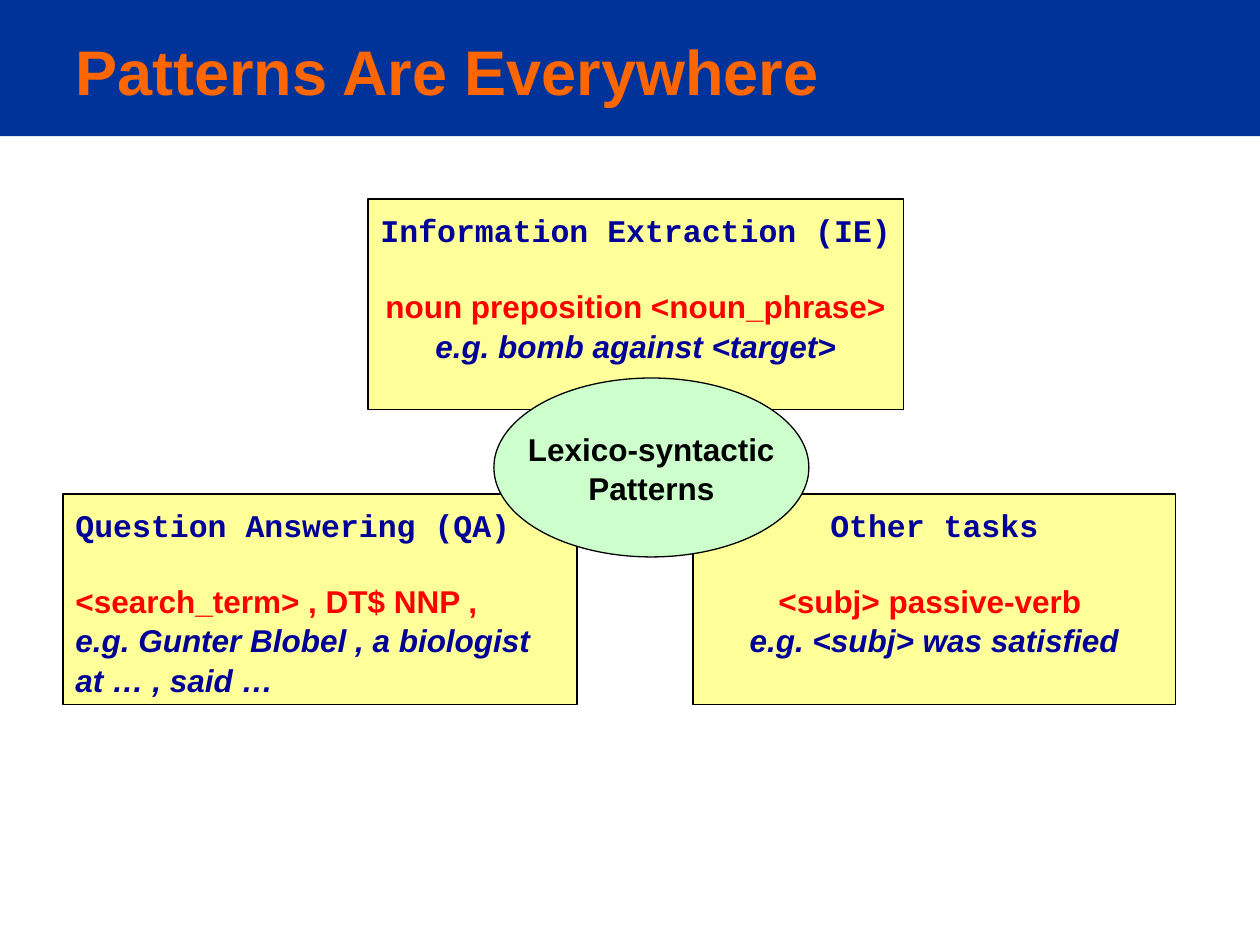
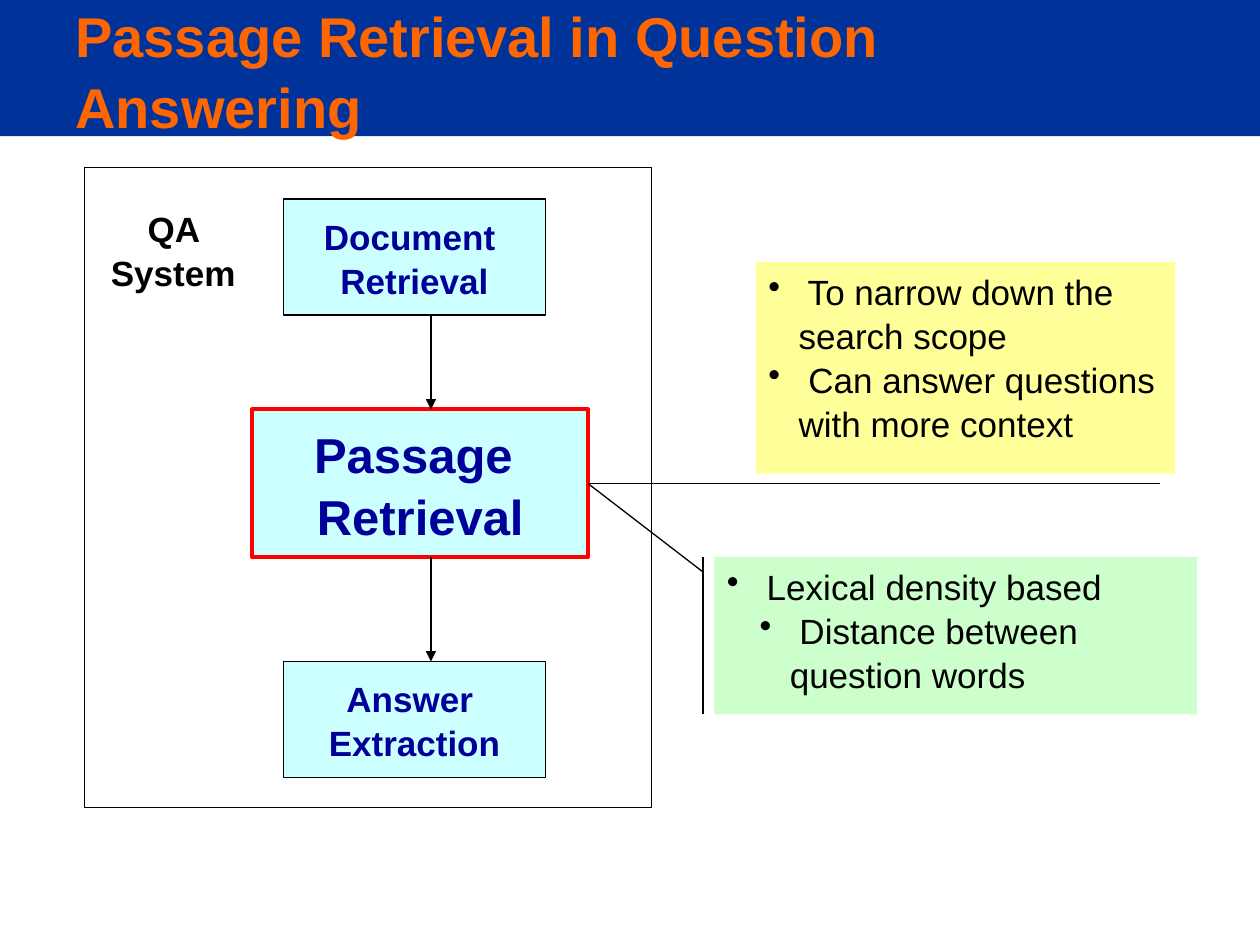
"""Build two slides on lexico-syntactic patterns and passage retrieval."""
from dataclasses import dataclass

import lxml.etree
import pptx
import pptx.dml.color
import pptx.enum.shapes
import pptx.enum.text
import pptx.oxml.ns
import pptx.util

Inches = pptx.util.Inches
Pt = pptx.util.Pt
SHAPE = pptx.enum.shapes.MSO_SHAPE
ALIGN = pptx.enum.text.PP_ALIGN
ANCHOR = pptx.enum.text.MSO_ANCHOR


@dataclass(frozen=True)
class Theme:
    band: str = "003399"
    title: str = "FF6600"
    ink: str = "000000"
    navy: str = "000099"
    red: str = "FF0000"
    yellow: str = "FFFF99"
    green: str = "CCFFCC"
    cyan: str = "CCFFFF"
    font: str = "Arial"
    mono: str = "Courier New"
    title_size: float = 36
    long_title_size: float = 32
    focus_size: float = 28
    body_size: float = 20
    small_size: float = 18
    line: float = 0.75
    thick: float = 2.25
    spacing: float = 1.05
    heading_gap: float = 20.7
    bullet_hang: float = 0.24


THEME = Theme()


def rgb(color):
    return pptx.dml.color.RGBColor.from_string(color)


def add_xml(parent, tag, **attributes):
    lxml.etree.SubElement(parent, pptx.oxml.ns.qn(tag), **attributes)


def add_text(tf, text, size=THEME.body_size, color=THEME.ink, font=THEME.font,
             bold=True, italic=False, align=ALIGN.CENTER, before=0, bullet=None):
    for line in text.split("\n"):
        p = tf.paragraphs[0]
        if p.runs:
            p = tf.add_paragraph()
        p.alignment, p.line_spacing, p.space_before = align, THEME.spacing, Pt(before)
        before = 0
        r = p.add_run()
        r.text = line
        r.font.size, r.font.name = Pt(size), font
        r.font.bold, r.font.italic = bold, italic
        r.font.color.rgb = rgb(color)
        if bullet is not None:
            pPr = p._p.get_or_add_pPr()
            pPr.set("marL", str(Inches(bullet)))
            pPr.set("indent", str(-Inches(THEME.bullet_hang)))
            add_xml(pPr, "a:buChar", char="•")


class Deck:
    def __init__(self, theme):
        self.theme = theme
        self.prs = pptx.Presentation()
        self.prs.slide_width, self.prs.slide_height = Inches(10), Inches(7.5)
        self.s = None

    def slide(self, title, size):
        t = self.theme
        self.s = self.prs.slides.add_slide(self.prs.slide_layouts[6])
        self.shape(0, 0, 10, 1.08, fill=t.band, line=None)
        tf = self.text_box(0.5, 0.17, 7.33, 0.75, anchor=ANCHOR.MIDDLE)
        add_text(tf, title, size=size, color=t.title, align=ALIGN.LEFT)

    def text_box(self, x, y, w, h, anchor=ANCHOR.TOP):
        tf = self.s.shapes.add_textbox(*map(Inches, (x, y, w, h))).text_frame
        tf.word_wrap, tf.vertical_anchor = True, anchor
        return tf

    def shape(self, x, y, w, h, kind=SHAPE.RECTANGLE, fill=None, line=THEME.ink,
              width=THEME.line, anchor=ANCHOR.MIDDLE, wrap=False):
        sp = self.s.shapes.add_shape(kind, *map(Inches, (x, y, w, h)))
        sp.shadow.inherit = False
        if fill:
            sp.fill.solid()
            sp.fill.fore_color.rgb = rgb(fill)
        else:
            sp.fill.background()
        if line:
            sp.line.color.rgb, sp.line.width = rgb(line), Pt(width)
        else:
            sp.line.fill.background()
        tf = sp.text_frame
        tf.word_wrap, tf.vertical_anchor = wrap, anchor
        return tf

    def pattern_box(self, x, y, w, task, pattern, example, align=ALIGN.CENTER):
        t = self.theme
        tf = self.shape(x, y, w, 1.67, fill=t.yellow, anchor=ANCHOR.TOP,
                        wrap=align == ALIGN.LEFT)
        tf.margin_top = Inches(0.08)
        style = dict(size=t.small_size, align=align)
        add_text(tf, task, color=t.navy, font=t.mono, **style)
        add_text(tf, pattern, color=t.red, before=t.heading_gap, **style)
        add_text(tf, example, color=t.navy, italic=True, **style)

    def note(self, x, y, w, h, fill, items):
        tf = self.shape(x, y, w, h, fill=fill, line=None, anchor=ANCHOR.TOP, wrap=True)
        for text, indent in items:
            add_text(tf, text, bold=False, align=ALIGN.LEFT, bullet=indent)

    def line(self, x1, y1, x2, y2, arrow=False):
        t = self.theme
        c = self.s.shapes.add_connector(pptx.enum.shapes.MSO_CONNECTOR.STRAIGHT,
                                        *map(Inches, (x1, y1, x2, y2)))
        c.line.color.rgb, c.line.width = rgb(t.ink), Pt(t.line)
        spPr = c._element.spPr
        if arrow:
            add_xml(spPr.find(pptx.oxml.ns.qn("a:ln")), "a:tailEnd", type="triangle")
        add_xml(spPr, "a:effectLst")


def patterns_slide(deck):
    t = deck.theme
    deck.slide("Patterns Are Everywhere", t.title_size)
    deck.pattern_box(2.92, 1.58, 4.25, "Information Extraction (IE)",
                     "noun preposition <noun_phrase>", "e.g. bomb against <target>")
    deck.pattern_box(0.5, 3.92, 4.08, "Question Answering (QA)",
                     "<search_term> , DT$ NNP ,",
                     "e.g. Gunter Blobel , a biologist\nat … , said …", align=ALIGN.LEFT)
    deck.pattern_box(5.5, 3.92, 3.83, "Other tasks",
                     "<subj> passive-verb ", "e.g. <subj> was satisfied")
    hub = deck.shape(3.92, 3, 2.5, 1.42, kind=SHAPE.OVAL, fill=t.green)
    add_text(hub, "Lexico-syntactic\nPatterns", size=t.small_size)


def retrieval_slide(deck):
    t = deck.theme
    deck.slide("Passage Retrieval in Question Answering", t.long_title_size)
    deck.shape(0.67, 1.33, 4.5, 5.08)
    add_text(deck.text_box(0.75, 1.58, 1.25, 0.77), "QA System")

    for y, step in ((1.58, "Document \nRetrieval"), (5.25, "Answer \nExtraction")):
        add_text(deck.shape(2.25, y, 2.08, 0.92, fill=t.cyan), step, color=t.navy)
    focus = deck.shape(2, 3.25, 2.67, 1.17, fill=t.cyan, line=t.red, width=t.thick)
    add_text(focus, "Passage \nRetrieval", size=t.focus_size, color=t.navy)
    for top, bottom in ((2.5, 3.25), (4.42, 5.25)):
        deck.line(3.42, top, 3.42, bottom, arrow=True)

    hang = t.bullet_hang
    deck.note(6, 2.08, 3.33, 1.68, t.yellow,
              ((" To narrow down the search scope", hang),
               (" Can answer questions with more context", hang)))
    deck.line(4.67, 3.84, 9.21, 3.84)
    deck.note(5.67, 4.42, 3.83, 1.25, t.green,
              ((" Lexical density based", hang),
               (" Distance between question words", 0.5)))
    deck.line(4.67, 3.84, 5.58, 4.54)
    deck.line(5.58, 4.42, 5.58, 5.67)


def main():
    deck = Deck(THEME)
    patterns_slide(deck)
    retrieval_slide(deck)
    deck.prs.save("out.pptx")


if __name__ == "__main__":
    main()
